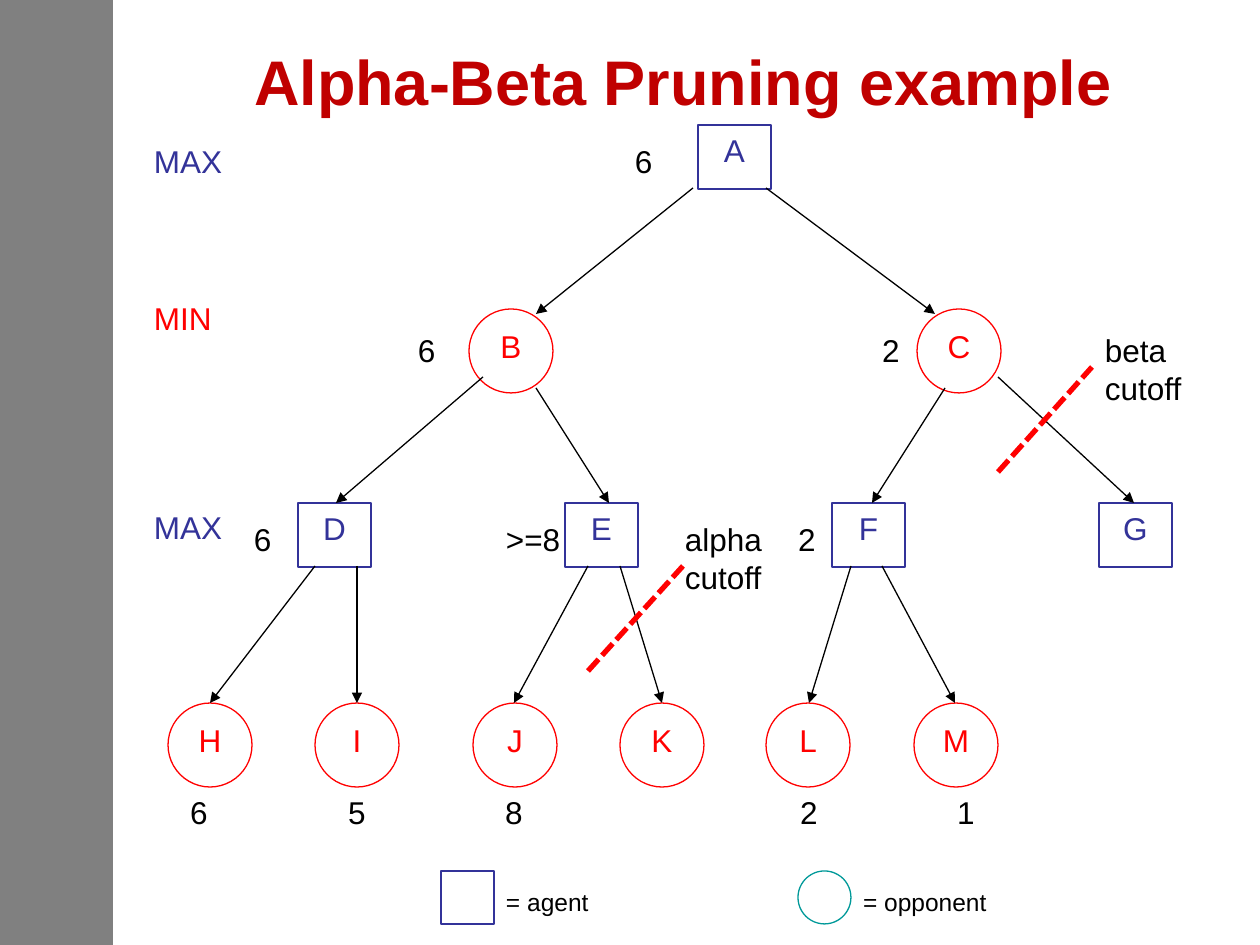
from lxml import etree
from pptx import Presentation
from pptx.dml.color import RGBColor
from pptx.enum import dml, shapes, text
from pptx.oxml.ns import qn
from pptx.util import Emu, Pt

PX = 914400 / 126
COLORS = {"band": "808080", "title": "C00000", "agent": "333399",
          "opponent": "FF0000", "legend": "009999", "ink": "000000"}
RECT, OVAL = shapes.MSO_SHAPE.RECTANGLE, shapes.MSO_SHAPE.OVAL
LEFT, CENTER = text.PP_ALIGN.LEFT, text.PP_ALIGN.CENTER


def px(*lengths):
    return [Emu(round(length * PX)) for length in lengths]


def write(shape, words, size=18, color="ink", bold=False, align=LEFT,
          anchor=text.MSO_ANCHOR.TOP, side=13):
    frame = shape.text_frame
    frame.word_wrap = True
    frame.vertical_anchor = anchor
    frame.margin_left, frame.margin_right = px(side, side)
    paragraph = frame.paragraphs[0]
    paragraph.text = words
    paragraph.alignment = align
    font = paragraph.font
    font.name, font.size, font.bold = "Arial", Pt(size), bold
    font.color.rgb = RGBColor.from_string(COLORS[color])


prs = Presentation()
prs.slide_width, prs.slide_height = px(1260, 945)
slide = prs.slides.add_slide(prs.slide_layouts[5])
tree = slide.shapes

band = tree.add_shape(RECT, *px(0, 0, 113, 945))
band.shadow.inherit = False
band.fill.solid()
band.fill.fore_color.rgb = RGBColor.from_string(COLORS["band"])
band.line.fill.background()

title = tree.title
title.left, title.top, title.width, title.height = px(111, 30, 1144, 94)
write(title, "Alpha-Beta Pruning example", size=36, color="title", bold=True,
      align=CENTER, anchor=text.MSO_ANCHOR.BOTTOM)

# Tree nodes by level: kind, colour, top, width, height, {letter: left}
levels = [
    (RECT, "agent", 125, 73, 64, {"A": 698}),
    (OVAL, "opponent", 309, 84, 84, {"B": 469, "C": 917}),
    (RECT, "agent", 503, 73, 64, {"D": 298, "E": 565, "F": 832, "G": 1099}),
    (OVAL, "opponent", 703, 84, 84,
     {"H": 168, "I": 315, "J": 473, "K": 620, "L": 766, "M": 914}),
    (RECT, "agent", 871, 53, 53, {"": 441}),
    (OVAL, "legend", 871, 53, 53, {"": 798}),
]
for kind, color, top, width, height, nodes in levels:
    for letter, left in nodes.items():
        node = tree.add_shape(kind, *px(left, top, width, height))
        node.shadow.inherit = False
        node.fill.background()
        node.line.color.rgb = RGBColor.from_string(COLORS[color])
        node.line.width = Pt(0.75)
        if letter:
            write(node, letter, color=color, align=CENTER, side=0)

branches = [
    (693, 188, 536, 314), (766, 188, 935, 314),
    (483, 377, 336, 503), (536, 388, 609, 503),
    (945, 388, 872, 503), (998, 377, 1134, 503),
    (315, 566, 210, 703), (357, 566, 357, 703),
    (588, 566, 514, 703), (620, 566, 662, 703),
    (851, 566, 809, 703), (882, 566, 955, 703),
]
cutoffs = [(588, 671, 683, 566), (998, 472, 1092, 367)]
for ends in branches + cutoffs:
    is_cutoff = ends in cutoffs
    link = tree.add_connector(shapes.MSO_CONNECTOR.STRAIGHT, *px(*ends))
    link.line.color.rgb = RGBColor.from_string(
        COLORS["opponent" if is_cutoff else "ink"])
    link.line.width = Pt(3 if is_cutoff else 0.75)
    if is_cutoff:
        link.line.dash_style = dml.MSO_LINE.ROUND_DOT
        link.line.dash_style = dml.MSO_LINE.SQUARE_DOT
    else:
        etree.SubElement(link.line._get_or_add_ln(), qn("a:tailEnd"), type="triangle")
    etree.SubElement(link._element.spPr, qn("a:effectLst"))

# Labels: words, left, top, width, height, format
labels = [
    ("MAX", 141, 136, 136, 63, {"color": "agent"}),
    ("MIN", 141, 293, 136, 63, {"color": "opponent"}),
    ("MAX", 141, 502, 136, 63, {"color": "agent"}),
    ("6", 622, 136, 113, 50, {}),
    ("6", 405, 325, 130, 50, {}),
    ("2", 828, 325, 126, 50, {"align": CENTER}),
    ("6", 241, 514, 147, 50, {}),
    (">=8", 493, 514, 147, 50, {}),
    ("2", 744, 514, 126, 50, {"align": CENTER}),
    ("alpha cutoff", 672, 514, 136, 88, {}),
    ("beta cutoff", 1092, 325, 136, 88, {}),
    ("= agent", 493, 881, 231, 42, {"size": 14}),
    ("= opponent", 850, 881, 231, 42, {"size": 14}),
]
leaf_values = {"6": 199, "5": 357, "8": 514, "2": 809, "1": 966}
labels += [(value, middle - 63, 787, 126, 50, {"align": CENTER})
           for value, middle in leaf_values.items()]
for words, left, top, width, height, style in labels:
    write(tree.add_textbox(*px(left, top, width, height)), words, **style)

prs.save("out.pptx")
